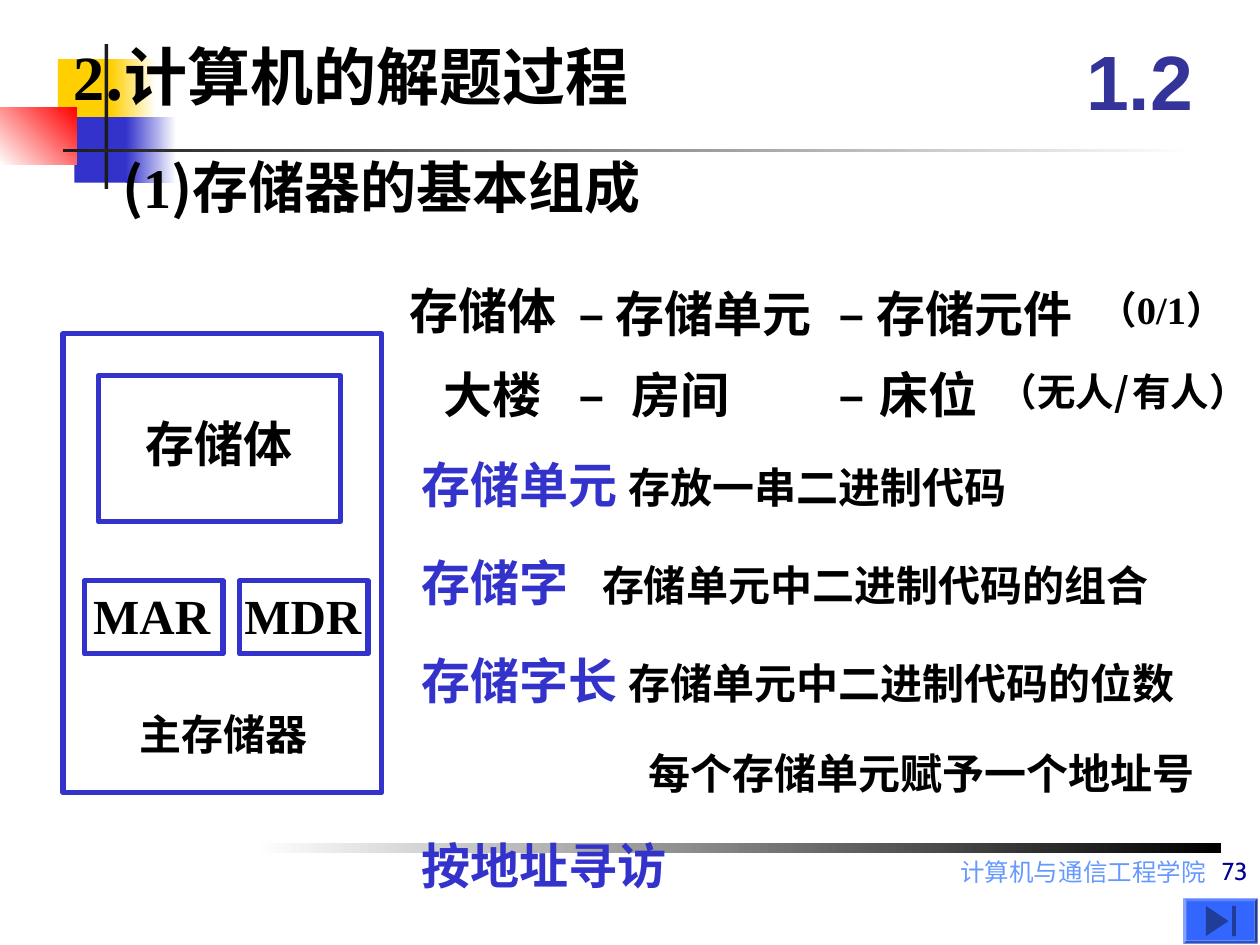
"""Build the slide on the basic composition of a memory."""
from dataclasses import dataclass, field
from typing import Any, NamedTuple, Optional

from lxml.etree import SubElement
from pptx import Presentation
from pptx.dml.color import RGBColor
from pptx.enum.shapes import MSO_SHAPE as Preset
from pptx.enum.text import MSO_ANCHOR as Anchor
from pptx.enum.text import MSO_AUTO_SIZE as AutoSize
from pptx.enum.text import PP_ALIGN as Align
from pptx.oxml.ns import qn
from pptx.util import Inches, Pt

COLORS = {
    "black": "000000", "white": "FFFFFF", "ink": "1C1C1C", "gold": "FFCF01",
    "blue": "3333CC", "red": "FF0000", "indigo": "333399", "sky": "6699FF",
    "navy": "000099", "button": "3366FF", "glyph": "1F3D99",
}
HEI, TIMES, ARIAL, CABIN = "Noto Sans CJK SC", "Times New Roman", "Arial", "Cabin"
FRAME = {
    "word_wrap": True, "auto_size": AutoSize.SHAPE_TO_FIT_TEXT, "vertical_anchor": Anchor.TOP,
    "margin_left": Inches(0.1), "margin_right": Inches(0.1),
    "margin_top": Inches(0.05), "margin_bottom": Inches(0.05),
}
FIXED = {"auto_size": AutoSize.NONE}
FLUSH_LEFT = {"margin_left": 0}
FLUSH_SIDES = {"margin_left": 0, "margin_right": 0}
FLUSH = {**FLUSH_SIDES, "margin_top": 0, "margin_bottom": 0}


class Box(NamedTuple):
    left: float
    top: float
    width: float
    height: float

    def lengths(self) -> list:
        return [Inches(value) for value in self]


class Run(NamedTuple):
    text: str
    size: float = 28
    font: str = HEI
    color: str = "black"
    bold: bool = True


@dataclass
class Label:
    box: Box
    runs: list
    align: Align = Align.LEFT
    frame: dict = field(default_factory=dict)
    tab: Optional[float] = None


class Band(NamedTuple):
    box: Box
    start: str
    end: Optional[str] = None
    angle: float = 0


def rgb(name: str) -> RGBColor:
    return RGBColor.from_string(COLORS[name])


def write_label(shape: Any, label: Label) -> None:
    frame = shape.text_frame
    for name, value in {**FRAME, **label.frame}.items():
        setattr(frame, name, value)
    paragraph = frame.paragraphs[0]
    paragraph.alignment = label.align
    if label.tab is not None:
        tabs = SubElement(paragraph._p.get_or_add_pPr(), qn("a:tabLst"))
        SubElement(tabs, qn("a:tab"), pos=str(Inches(label.tab)), algn="l")
    for part in label.runs:
        run = paragraph.add_run()
        run.text = part.text
        for name, value in {"size": Pt(part.size), "bold": part.bold, "name": part.font}.items():
            setattr(run.font, name, value)
        run.font.color.rgb = rgb(part.color)
        SubElement(run._r.get_or_add_rPr(), qn("a:ea"), typeface=HEI)


def add_label(shapes: Any, label: Label) -> None:
    write_label(shapes.add_textbox(*label.box.lengths()), label)


def add_band(shapes: Any, band: Band, preset: Preset = Preset.RECTANGLE) -> Any:
    shape = shapes.add_shape(preset, *band.box.lengths())
    shape.shadow.inherit = False
    shape.line.fill.background()
    if band.end is None:
        shape.fill.solid()
        shape.fill.fore_color.rgb = rgb(band.start)
    else:
        shape.fill.gradient()
        shape.fill.gradient_angle = band.angle
        for stop, color in zip(shape.fill.gradient_stops, (band.start, band.end)):
            stop.color.rgb = rgb(color)
    return shape


def add_outline(shapes: Any, box: Box) -> None:
    shape = shapes.add_shape(Preset.RECTANGLE, *box.lengths())
    shape.shadow.inherit = False
    shape.fill.background()
    shape.line.color.rgb = rgb("blue")
    shape.line.width = Pt(3)


def add_end_button(shapes: Any) -> None:
    button = add_band(shapes, Band(Box(9.39, 7.13, 0.59, 0.36), "button"), Preset.BEVEL)
    button.adjustments[0] = 0.07
    builder = shapes.build_freeform(Inches(9.75), Inches(7.31), scale=1)
    builder.add_line_segments([(Inches(9.57), Inches(y)) for y in (7.43, 7.19)])
    arrow = builder.convert_to_shape()
    arrow.shadow.inherit = False
    arrow.fill.solid()
    arrow.fill.fore_color.rgb = rgb("glyph")
    arrow.line.fill.background()
    add_band(shapes, Band(Box(9.78, 7.19, 0.03, 0.24), "glyph"))


BANDS = [
    Band(Box(0.46, 0.47, 0.48, 0.52), "gold"),
    Band(Box(0.88, 0.47, 0.36, 0.52), "gold", "white"),
    Band(Box(0.59, 0.93, 0.46, 0.52), "blue"),
    Band(Box(1, 0.93, 0.4, 0.52), "blue", "white"),
    Band(Box(0, 0.85, 0.61, 0.46), "white", "red", 45),
    Band(Box(0.83, 0.35, 0.03, 1.15), "ink"),
    Band(Box(0.5, 1.18, 9, 0.03), "ink", "white"),
    Band(Box(2.02, 6.69, 7.67, 0.08), "white", "black"),
]
TITLE = Label(Box(0.04, 0.25, 5.59, 0.7),
              [Run("2", 36, TIMES), Run(".计算机的解题过程", 36)], Align.CENTER, FLUSH_LEFT)
FOOTERS = [
    Label(Box(3.92, 6.75, 5.75, 0.26),
          [Run("计算机与通信工程学院", 14, TIMES, "sky", False)], Align.RIGHT, FIXED),
    Label(Box(5.22, 6.58, 4.78, 0.5), [Run("73", 14, CABIN, "navy", False)],
          Align.RIGHT, {**FIXED, "vertical_anchor": Anchor.BOTTOM}),
]
DASH = Run("–", font=TIMES)
ANALOGY = [
    Label(Box(3.15, 2.18, 1.54, 0.57), [Run("存储体")]),
    Label(Box(3.42, 2.84, 1.27, 0.57), [Run("大楼")]),
    Label(Box(4.49, 2.2, 2.48, 0.57), [DASH, Run(" 存储单元")]),
    Label(Box(6.56, 2.2, 2.46, 0.57), [DASH, Run(" 存储元件")]),
    Label(Box(8.62, 2.22, 1.38, 0.47), [Run("（", 22), Run("0/1", 22, TIMES), Run("）", 22)]),
    Label(Box(4.49, 2.84, 1.85, 0.57), [DASH, Run("\t房间")], tab=0.42),
    Label(Box(6.56, 2.84, 1.86, 0.57), [DASH, Run("\t床位")], tab=0.32),
    Label(Box(7.83, 2.87, 2.76, 0.47), [Run("（无人/", 22), Run(" ", 8), Run("有人）", 22)]),
]
DEFINITIONS = [
    ("存储单元", "存放一串二进制代码", 6.33, 1.64),
    ("存储字", "存储单元中二进制代码的组合", 7.63, 1.43),
    ("存储字长", "存储单元中二进制代码的位数", 7.25, 1.64),
]
ADDRESSING = [
    Label(Box(5.05, 5.88, 5.29, 0.5), [Run("每个存储单元赋予一个地址号", 24)]),
    Label(Box(3.25, 6.58, 2.93, 0.57), [Run("按地址寻访", color="blue")]),
]
HEADINGS = [
    Label(Box(0.87, 1.16, 6.81, 0.64),
          [Run("(", 32), Run("1", 32, TIMES), Run(")存储器的基本组成", 32)]),
    Label(Box(8.42, 0.17, 1.25, 0.92), [Run("1.2", 44, ARIAL, "indigo")],
          Align.CENTER, {**FIXED, "vertical_anchor": Anchor.MIDDLE}),
]
MEMORY_OUTLINES = [
    Box(0.5, 2.65, 2.53, 3.64), Box(0.78, 2.98, 1.92, 1.16),
    Box(0.67, 4.61, 1.1, 0.58), Box(1.9, 4.61, 1.02, 0.58),
]
MEMORY_LABELS = [
    Label(Box(1.94, 4.6, 1.14, 0.57), [Run("MDR", font=TIMES)], frame=FLUSH_SIDES),
    Label(Box(1.11, 5.62, 1.4, 0.4), [Run("主存储器", 24)], frame=FLUSH),
    Label(Box(1.06, 3.23, 1.42, 0.57), [Run("存储体")], frame=FRAME),
    Label(Box(0.74, 4.6, 1.03, 0.57), [Run("MAR", font=TIMES)], frame=FLUSH_SIDES),
]


def main() -> None:
    deck = Presentation()
    deck.slide_width, deck.slide_height = Inches(10), Inches(7.5)
    shapes = deck.slides.add_slide(deck.slide_layouts[5]).shapes
    for band in BANDS:
        add_band(shapes, band)
    definitions = [
        Label(Box(3.25, 3.56 + 0.775 * row, width, 0.57),
              [Run(term, color="blue"), Run("\t" + meaning, 24)], tab=tab)
        for row, (term, meaning, width, tab) in enumerate(DEFINITIONS)
    ]
    for label in FOOTERS + ANALOGY + definitions + ADDRESSING + HEADINGS:
        add_label(shapes, label)
    memory = shapes.add_group_shape().shapes
    for box in MEMORY_OUTLINES:
        add_outline(memory, box)
    for label in MEMORY_LABELS:
        add_label(memory, label)
    title = shapes.title
    title.left, title.top, title.width, title.height = TITLE.box.lengths()
    write_label(title, TITLE)
    title.element.getparent().append(title.element)
    add_end_button(shapes)
    deck.save("out.pptx")


if __name__ == "__main__":
    main()
